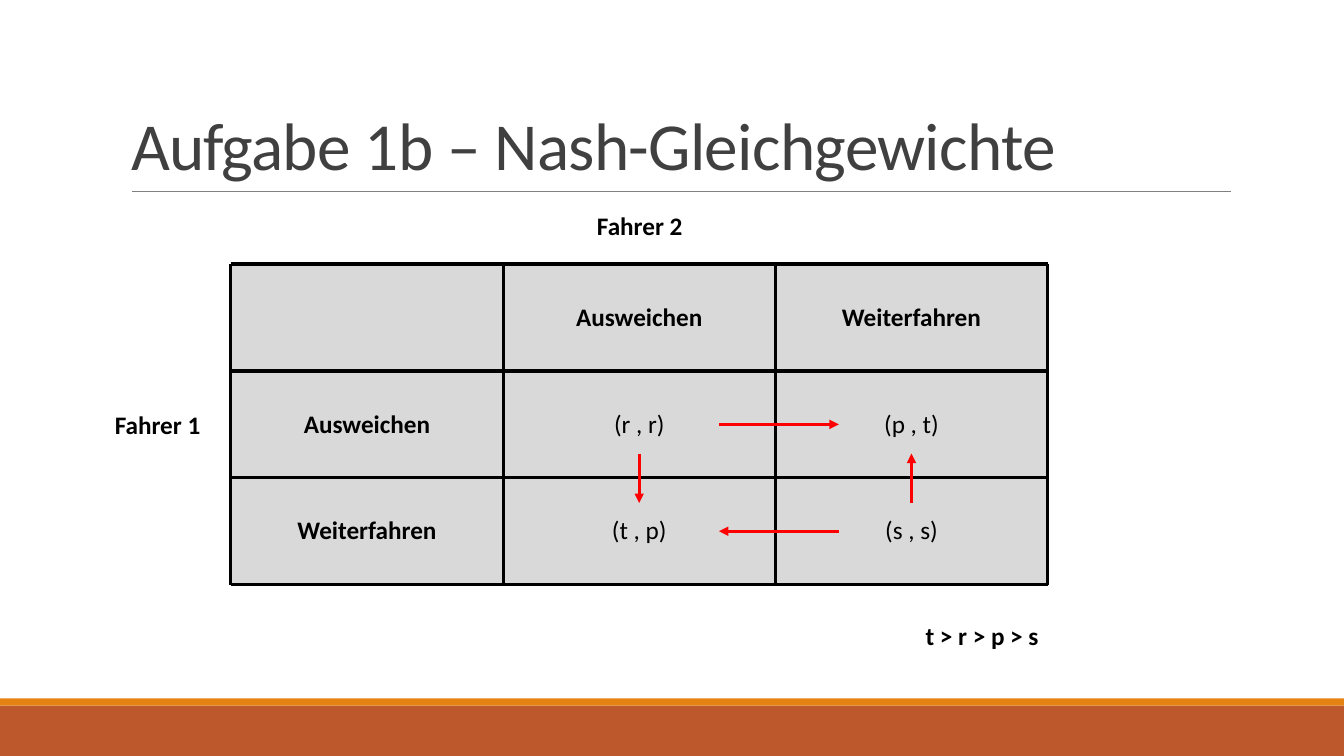
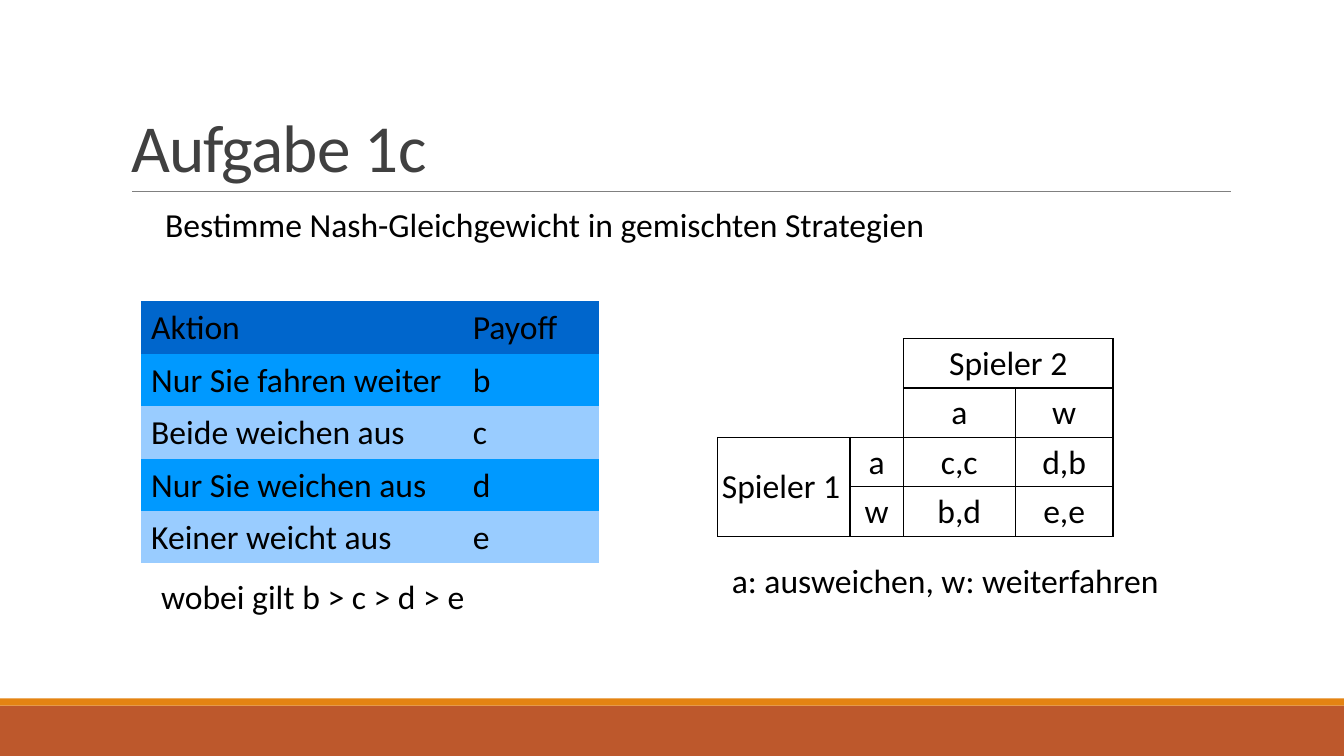
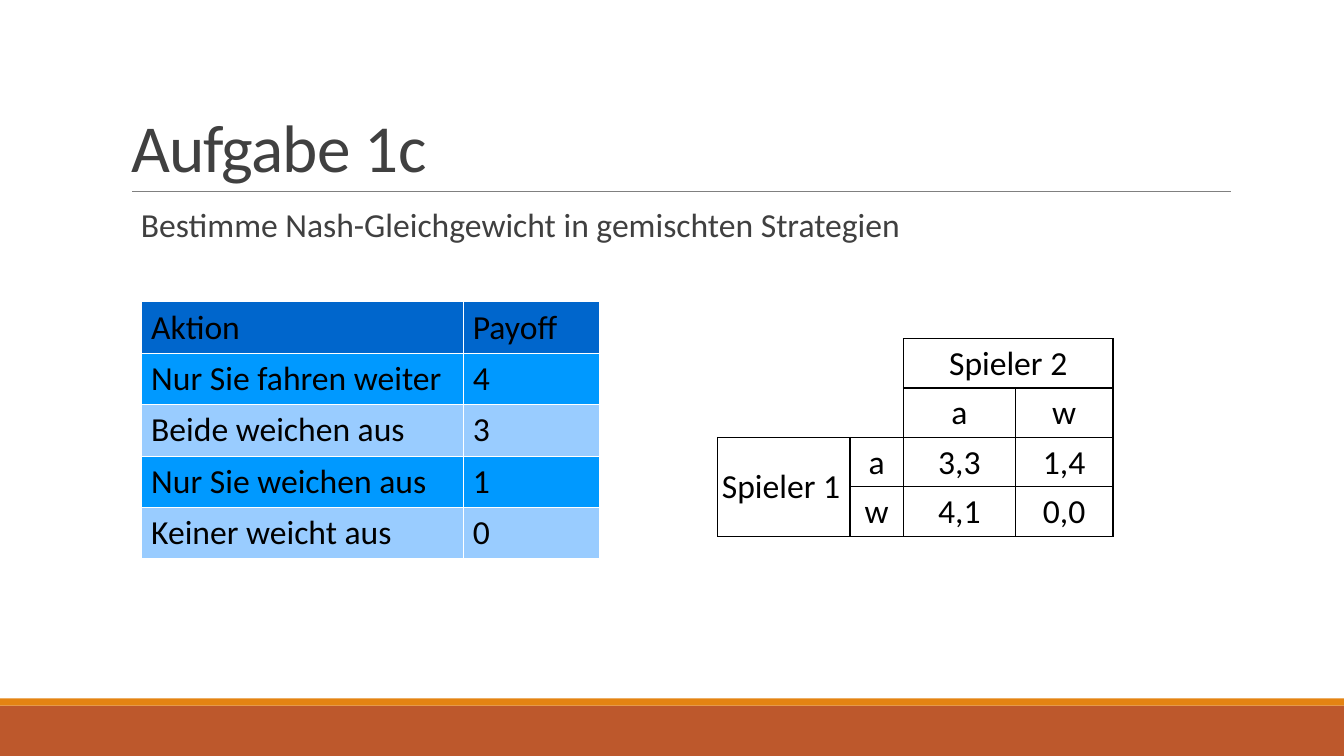
from lxml import etree
from pptx import Presentation
from pptx.dml.color import RGBColor
from pptx.enum.shapes import MSO_CONNECTOR, MSO_SHAPE
from pptx.enum.text import MSO_ANCHOR, MSO_AUTO_SIZE, PP_ALIGN
from pptx.oxml.ns import qn
from pptx.util import Inches, Pt

LEFT, CENTER, RIGHT = PP_ALIGN.LEFT, PP_ALIGN.CENTER, PP_ALIGN.RIGHT
TOP, MIDDLE, BOTTOM = MSO_ANCHOR.TOP, MSO_ANCHOR.MIDDLE, MSO_ANCHOR.BOTTOM
STRAIGHT, RECTANGLE = MSO_CONNECTOR.STRAIGHT, MSO_SHAPE.RECTANGLE
TITLE_ONLY = 5

COLORS = {
    "band": "BD582C", "stripe": "E48312", "rule": "808080", "title": "404040",
    "black": "000000", "white": "FFFFFF", "grey": "D9D9D9", "arrow": "FF0000",
    "head": "0066CC", "odd": "0099FF", "even": "99CCFF",
}
WIDTH, HEIGHT = 13.33, 7.5
SIDES = ("L", "R", "T", "B")
SUBTITLE = "Bestimme Nash-Gleichgewicht in gemischten Strategien"
ACTIONS = ("Nur Sie fahren weiter", "Beide weichen aus",
           "Nur Sie weichen aus", "Keiner weicht aus")


def color(name):
    return RGBColor.from_string(COLORS[name])


def write(frame, text, size=24, ink="black", bold=False, align=LEFT, spacing=1.0):
    """Fill a text frame with one formatted paragraph."""
    para = frame.paragraphs[0]
    para.alignment, para.line_spacing = align, spacing
    span = para.add_run()
    span.text = text
    for name, value in {"name": "Calibri", "size": Pt(size), "bold": bold}.items():
        setattr(span.font, name, value)
    span.font.color.rgb = color(ink)
    return para, span


def add_text(page, box, text, inset_top=0.05, **style):
    frame = page.shapes.add_textbox(*map(Inches, box)).text_frame
    frame.word_wrap = True
    frame.margin_top = Inches(inset_top)
    return write(frame, text, **style)


def add_line(page, start, end, ink="black", width=2.25, arrow=False):
    line = page.shapes.add_connector(STRAIGHT, *map(Inches, (*start, *end)))
    line.line.color.rgb = color(ink)
    line.line.width = Pt(width)
    if arrow:
        etree.SubElement(line.line._get_or_add_ln(), qn("a:tailEnd"), type="triangle")
    etree.SubElement(line.element.spPr, qn("a:effectLst"))
    return line


# Tables
def set_borders(cell, ink, width, sides=SIDES):
    """Draw the given sides of a cell and hide the others."""
    properties = cell._tc.get_or_add_tcPr()
    for place, side in enumerate(SIDES):
        line = etree.Element(qn(f"a:ln{side}"), w=str(Pt(width)))
        if side in sides:
            fill = etree.SubElement(line, qn("a:solidFill"))
            etree.SubElement(fill, qn("a:srgbClr"), val=COLORS[ink])
        else:
            etree.SubElement(line, qn("a:noFill"))
        properties.insert(place, line)


def add_table(page, left, top, widths, row_height, rows):
    table = page.shapes.add_table(
        rows, len(widths), Inches(left), Inches(top),
        Inches(sum(widths)), Inches(row_height * rows)).table
    table.first_row = table.horz_banding = False
    for column, width in zip(table.columns, widths):
        column.width = Inches(width)
    for row in table.rows:
        row.height = Inches(row_height)
    return table


def fill_cell(cell, text, fill, anchor=TOP, inset=None, **style):
    cell.fill.solid()
    cell.fill.fore_color.rgb = color(fill)
    cell.vertical_anchor = anchor
    if inset is not None:
        for side in ("left", "right", "top", "bottom"):
            setattr(cell, f"margin_{side}", Inches(inset))
    if text:
        write(cell.text_frame, text, **style)


# Shared frame and title
def add_frame(page, layout):
    """Draw bands and title rule, then move them to the layout."""
    parts = []
    for top, height, fill in ((7, 0.5, "band"), (6.93, 0.07, "stripe")):
        band = page.shapes.add_shape(
            RECTANGLE, *map(Inches, (0, top, WIDTH, height)))
        band.shadow.inherit = False
        band.fill.solid()
        band.fill.fore_color.rgb = color(fill)
        band.line.fill.background()
        parts.append(band)
    parts.append(add_line(page, (1.31, 1.9), (12.21, 1.9), "rule", 0.5))
    for part in parts:
        layout.shapes.element.append(part.element)


def add_page(deck, title, top=0.31):
    page = deck.slides.add_slide(deck.slide_layouts[TITLE_ONLY])
    holder = page.shapes.title
    place = {"left": 1.2, "top": top, "width": 11, "height": 1.59}
    for name, value in place.items():
        setattr(holder, name, Inches(value))
    frame = holder.text_frame
    frame.vertical_anchor = BOTTOM
    frame.auto_size = MSO_AUTO_SIZE.NONE
    span = write(frame, title, size=48, ink="title", spacing=0.85)[1]
    span.font._element.set("spc", "-50")
    return page


# Game with best-response arrows
def add_driver_game(page, left, top, column, row):
    rows = (("", "Ausweichen", "Weiterfahren"),
            ("Ausweichen", "(r , r)", "(p , t)"),
            ("Weiterfahren", "(t , p)", "(s , s)"))
    table = add_table(page, left, top, [column] * 3, row, 3)
    for r, texts in enumerate(rows):
        for c, text in enumerate(texts):
            cell = table.cell(r, c)
            fill_cell(cell, text, "grey", MIDDLE, size=18,
                      bold=r == 0 or c == 0, align=CENTER)
            set_borders(cell, "white", 1)

    xs = [left + column * step for step in range(4)]
    ys = [top + row * step for step in range(4)]
    for y in ys:
        add_line(page, (xs[0], y), (xs[3], y))
    for x in xs:
        add_line(page, (x, ys[0]), (x, ys[3]))

    tail, tip = xs[2] - 0.56, xs[2] + 0.63
    upper, lower = ys[2] - 0.24, ys[2] + 0.25
    first_x, second_x = xs[1] + column / 2, xs[2] + column / 2
    first_y, second_y = ys[1] + row / 2, ys[2] + row / 2
    for start, end in (((first_x, upper), (first_x, lower)),
                       ((second_x, lower), (second_x, upper)),
                       ((tip, second_y), (tail, second_y)),
                       ((tail, first_y), (tip, first_y))):
        add_line(page, start, end, "arrow", arrow=True)

    label = {"size": 18, "bold": True}
    add_text(page, (left - 1.25, top + 1.39, 1.25, 0.4), "Fahrer 1", **label)
    add_text(page, (left + 3.43, top - 0.58, 1.25, 0.4), "Fahrer 2",
             align=CENTER, **label)
    add_text(page, (left + 6.67, top + 3.49, 1.44, 0.4), "t > r > p > s",
             align=RIGHT, **label)


# Payoffs by action
def add_payoffs(page, left, top, payoffs, row_height, spacing, sides):
    rows = [("Aktion", "Payoff"), *zip(ACTIONS, payoffs)]
    table = add_table(page, left, top, (3.19, 1.35), row_height, len(rows))
    for r, texts in enumerate(rows):
        fill = "head" if r == 0 else ("even", "odd")[r % 2]
        for c, text in enumerate(texts):
            fill_cell(table.cell(r, c), text, fill, spacing=spacing)
            set_borders(table.cell(r, c), "white", 0.06, sides)


# Two-player payoff matrix
def add_matrix(page, left, top, outcomes):
    rows = (("", "", "Spieler 2", ""), ("", "", "a", "w"),
            ("Spieler 1", "a", *outcomes[0]), ("", "w", *outcomes[1]))
    table = add_table(page, left, top, (1.31, 0.53, 1.11, 0.97), 0.49, 4)
    for r, texts in enumerate(rows):
        for c, text in enumerate(texts):
            cell = table.cell(r, c)
            fill_cell(cell, text, "white", TOP if c else MIDDLE, 0.04,
                      align=CENTER if c else LEFT, spacing=1.02)
            corner = r < 2 and c < 2
            set_borders(cell, "black", 1, ("R", "B") if corner else SIDES)
    for first, last in (((0, 0), (1, 1)), ((0, 2), (0, 3)), ((2, 0), (3, 0))):
        table.cell(*first).merge(table.cell(*last))


def add_mixed_page(deck, payoffs, outcomes, ink, indent, **payoff_style):
    page = add_page(deck, "Aufgabe 1c")
    para = add_text(page, (1.2, 2.02, 11, 4.4), SUBTITLE, ink=ink, spacing=0.9)[0]
    para._p.get_or_add_pPr().set("marL", str(Inches(indent)))
    add_payoffs(page, 1.4, 2.99, payoffs, **payoff_style)
    add_matrix(page, 7.12, 3.36, outcomes)
    return page


deck = Presentation()
deck.slide_width, deck.slide_height = Inches(WIDTH), Inches(HEIGHT)

game_page = add_page(deck, "Aufgabe 1b – Nash-Gleichgewichte", top=0.29)
add_frame(game_page, deck.slide_layouts[TITLE_ONLY])
add_driver_game(game_page, 2.29, 2.62, 2.7, 1.06)

symbol_page = add_mixed_page(
    deck, "bcde", (("c,c", "d,b"), ("b,d", "e,e")), "black", 0.34,
    row_height=0.52, spacing=1.04, sides=())
for box, note in (((1.5, 5.67, 3.39, 0.71), "wobei gilt b > c > d > e"),
                  ((7.16, 5.51, 5.35, 0.87), "a: ausweichen, w: weiterfahren")):
    add_text(symbol_page, box, note, inset_top=0.08, spacing=0.92)

add_mixed_page(
    deck, "4310", (("3,3", "1,4"), ("4,1", "0,0")), "title", 0.1,
    row_height=0.51, spacing=1.02, sides=SIDES)

deck.save("out.pptx")
